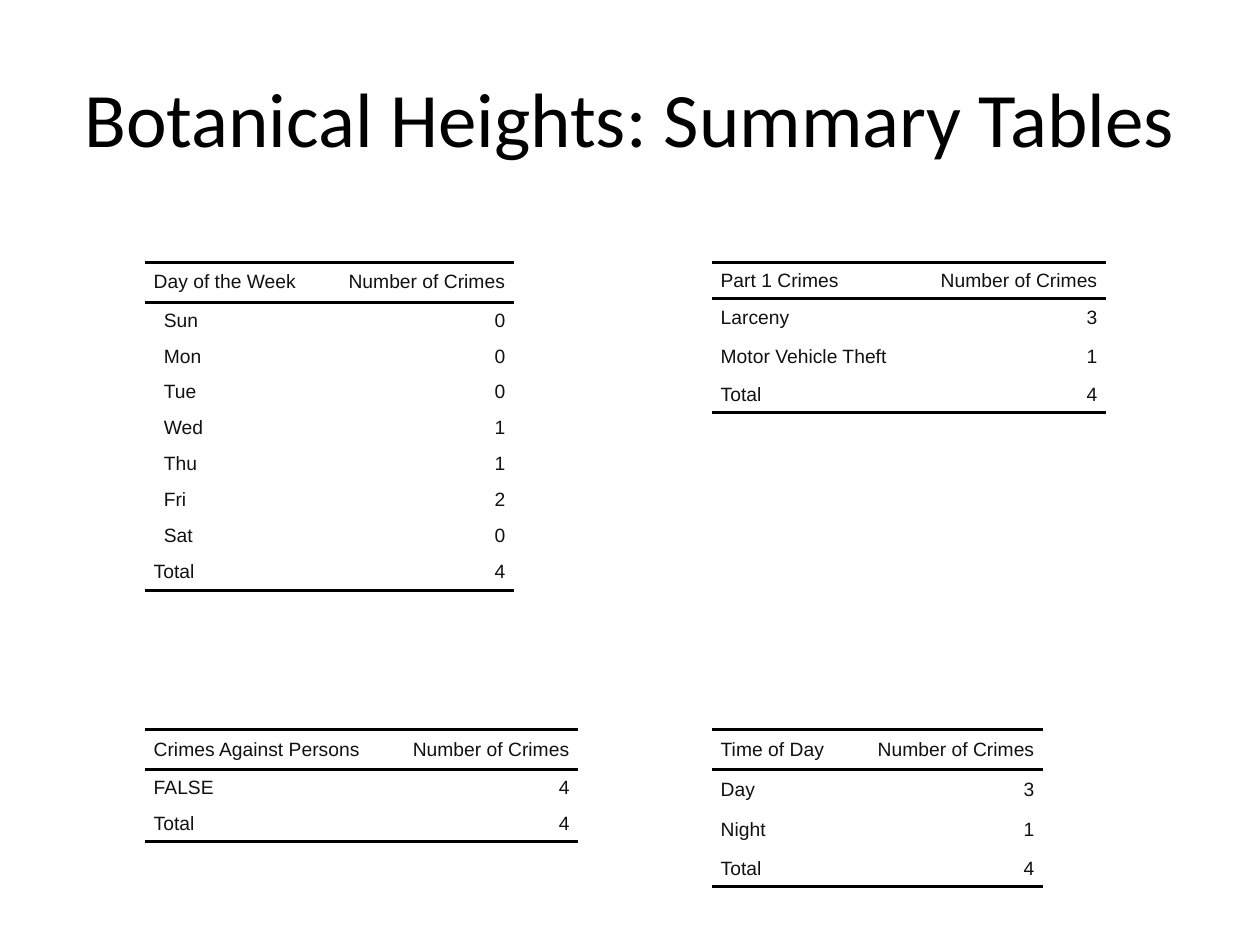
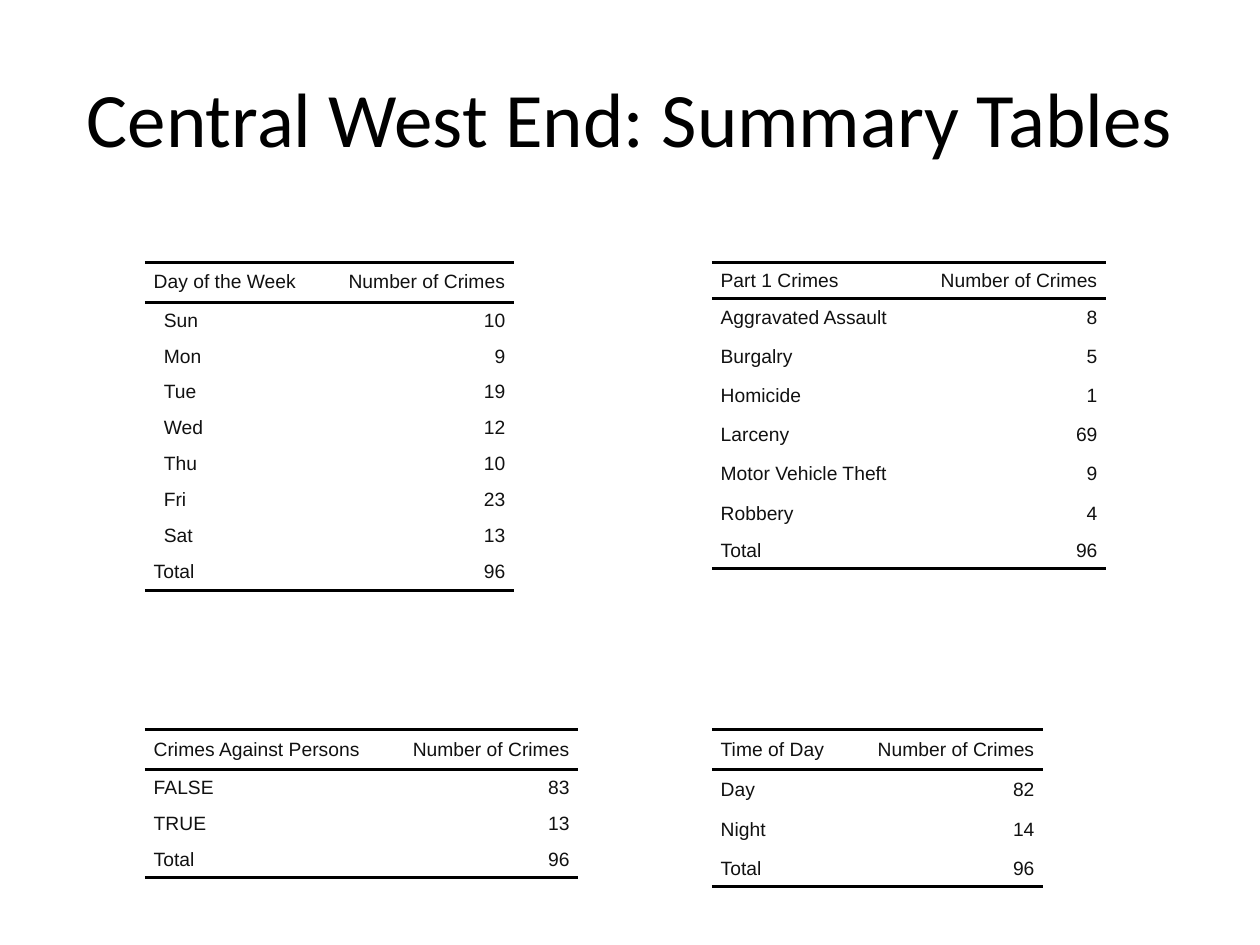
"""Build the neighbourhood crime summary slides."""
from dataclasses import dataclass

from lxml.etree import SubElement
from pptx import Presentation
from pptx.dml.color import RGBColor
from pptx.enum.text import MSO_ANCHOR as Anchor, PP_ALIGN as Align
from pptx.oxml.ns import qn
from pptx.util import Inches, Pt


@dataclass(frozen=True)
class Theme:
    title_font: str = "Calibri"
    table_font: str = "Arial"
    title_size: int = 44
    table_size: int = 11
    title_color: str = "000000"
    table_color: str = "111111"
    rule_color: str = "000000"
    rule_width: int = 2


@dataclass(frozen=True)
class Panel:
    heading: str
    left: float
    top: float
    label_width: float
    header_height: float
    body_height: float
    indent: float = 0


COUNT_HEADING = "Number of Crimes"
COUNT_WIDTH = 1.52
CELL_MARGIN = 0.07
ROW_HEIGHT = 2 / 7
LEFT, RIGHT = 1.15, 5.65
UPPER, LOWER = 2.08, 5.79
WEEKDAYS = ("Sun", "Mon", "Tue", "Wed", "Thu", "Fri", "Sat")

PART_ONE = Panel("Part 1 Crimes", RIGHT, UPPER, 1.61, 0.29, 0.31)
WEEK = Panel("Day of the Week", LEFT, UPPER, 1.41, 0.32, ROW_HEIGHT, 0.08)
PERSONS = Panel("Crimes Against Persons", LEFT, LOWER, 1.92, 0.32, ROW_HEIGHT)
TIME = Panel("Time of Day", RIGHT, LOWER, 1.11, 0.32, 0.32)

NEIGHBORHOODS = {
    "Botanical Heights": {
        PART_ONE: {"Larceny": 3, "Motor Vehicle Theft": 1},
        WEEK: dict(zip(WEEKDAYS, (0, 0, 0, 1, 1, 2, 0))),
        PERSONS: {"FALSE": 4},
        TIME: {"Day": 3, "Night": 1},
    },
    "Central West End": {
        PART_ONE: {"Aggravated Assault": 8, "Burgalry": 5, "Homicide": 1,
                   "Larceny": 69, "Motor Vehicle Theft": 9, "Robbery": 4},
        WEEK: dict(zip(WEEKDAYS, (10, 9, 19, 12, 10, 23, 13))),
        PERSONS: {"FALSE": 83, "TRUE": 13},
        TIME: {"Day": 82, "Night": 14},
    },
}


class Deck:
    def __init__(self, theme):
        self.theme = theme
        self.presentation = Presentation()
        self.presentation.slide_width = Inches(10)
        self.presentation.slide_height = Inches(7.5)
        self.slide = None

    def add_slide(self, title):
        layout = self.presentation.slide_layouts[6]
        self.slide = self.presentation.slides.add_slide(layout)
        self.add_title(title)

    def add_run(self, paragraph, text, font, size, color):
        run = paragraph.add_run()
        run.text = text
        run.font.name = font
        run.font.size = Pt(size)
        run.font.color.rgb = RGBColor.from_string(color)

    def add_title(self, text):
        theme = self.theme
        box = self.slide.shapes.add_textbox(
            Inches(0.5), Inches(0.3), Inches(9), Inches(1.25))
        frame = box.text_frame
        frame.word_wrap = True
        frame.vertical_anchor = Anchor.MIDDLE
        paragraph = frame.paragraphs[0]
        paragraph.alignment = Align.CENTER
        self.add_run(paragraph, text, theme.title_font,
                     theme.title_size, theme.title_color)

    def set_borders(self, cell, ruled_sides):
        properties = cell._tc.get_or_add_tcPr()
        for side in "LRTB":
            line = SubElement(properties, qn(f"a:ln{side}"))
            if side in ruled_sides:
                line.set("w", str(Pt(self.theme.rule_width)))
                fill = SubElement(line, qn("a:solidFill"))
                SubElement(fill, qn("a:srgbClr")).set("val", self.theme.rule_color)
            else:
                SubElement(line, qn("a:noFill"))

    def fill_cell(self, cell, text, alignment, indent, ruled_sides):
        theme = self.theme
        self.set_borders(cell, ruled_sides)
        cell.fill.background()
        cell.vertical_anchor = Anchor.MIDDLE
        cell.margin_left = Inches(CELL_MARGIN + indent)
        cell.margin_right = Inches(CELL_MARGIN)
        cell.margin_top = cell.margin_bottom = 0
        paragraph = cell.text_frame.paragraphs[0]
        paragraph.alignment = alignment
        self.add_run(paragraph, text, theme.table_font,
                     theme.table_size, theme.table_color)

    def add_summary_table(self, panel, counts):
        rows = [(panel.heading, COUNT_HEADING), *counts.items(),
                ("Total", sum(counts.values()))]
        last = len(rows) - 1
        heights = [panel.header_height, *[panel.body_height] * len(counts), ROW_HEIGHT]
        widths = (panel.label_width, COUNT_WIDTH)
        table = self.slide.shapes.add_table(
            len(rows), len(widths), Inches(panel.left), Inches(panel.top),
            Inches(sum(widths)), Inches(sum(heights))).table
        table.first_row = table.horz_banding = False
        for column, width in zip(table.columns, widths):
            column.width = Inches(width)
        ruled_sides = {0: "TB", 1: "T", last: "B"}
        for index, (label, count) in enumerate(rows):
            table.rows[index].height = Inches(heights[index])
            sides = ruled_sides.get(index, "")
            indent = panel.indent if 0 < index < last else 0
            self.fill_cell(table.cell(index, 0), label, Align.LEFT, indent, sides)
            self.fill_cell(table.cell(index, 1), str(count), Align.RIGHT, 0, sides)


def main():
    deck = Deck(Theme())
    for neighborhood, summaries in NEIGHBORHOODS.items():
        deck.add_slide(f"{neighborhood}: Summary Tables")
        for panel, counts in summaries.items():
            deck.add_summary_table(panel, counts)
    deck.presentation.save("out.pptx")


if __name__ == "__main__":
    main()
